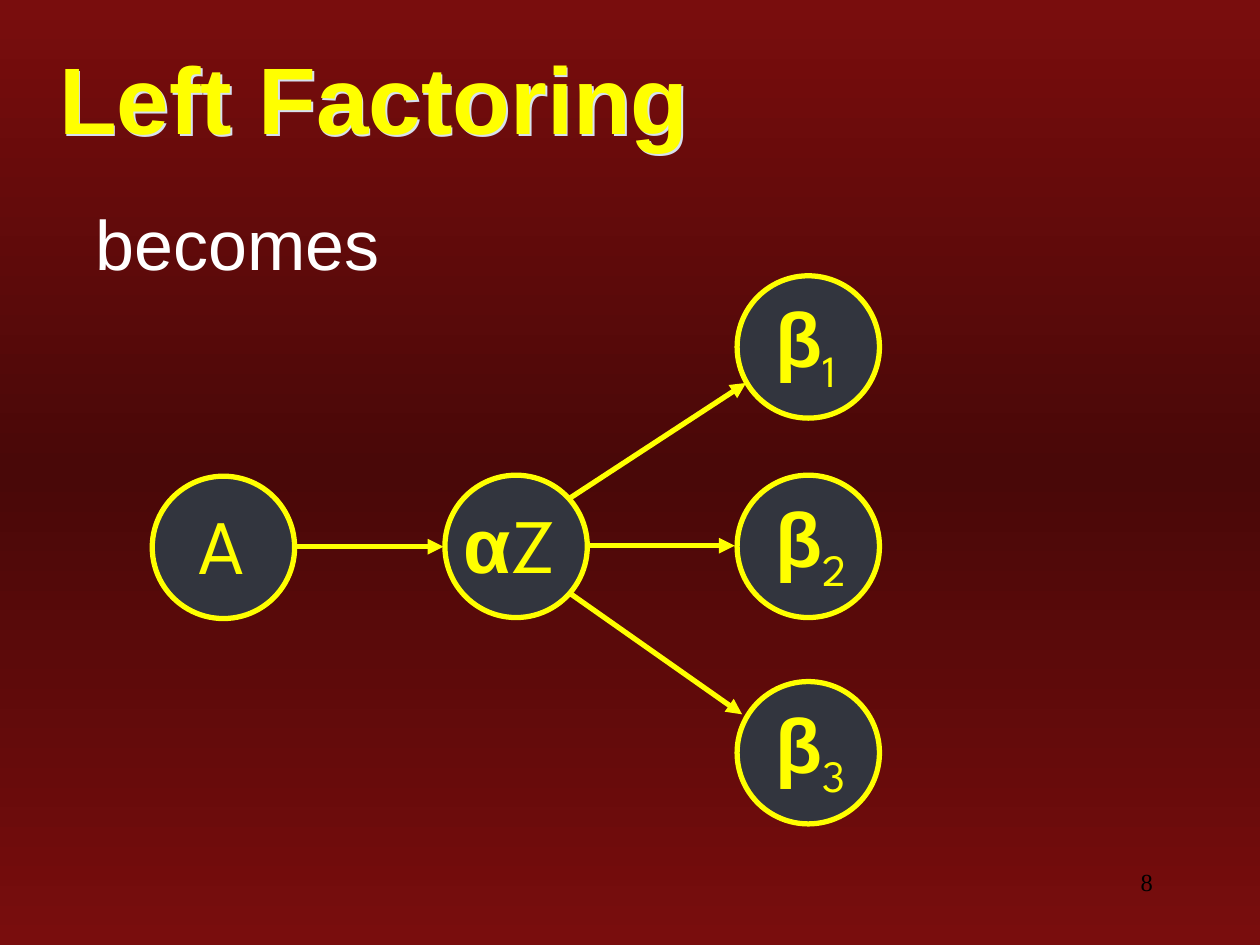
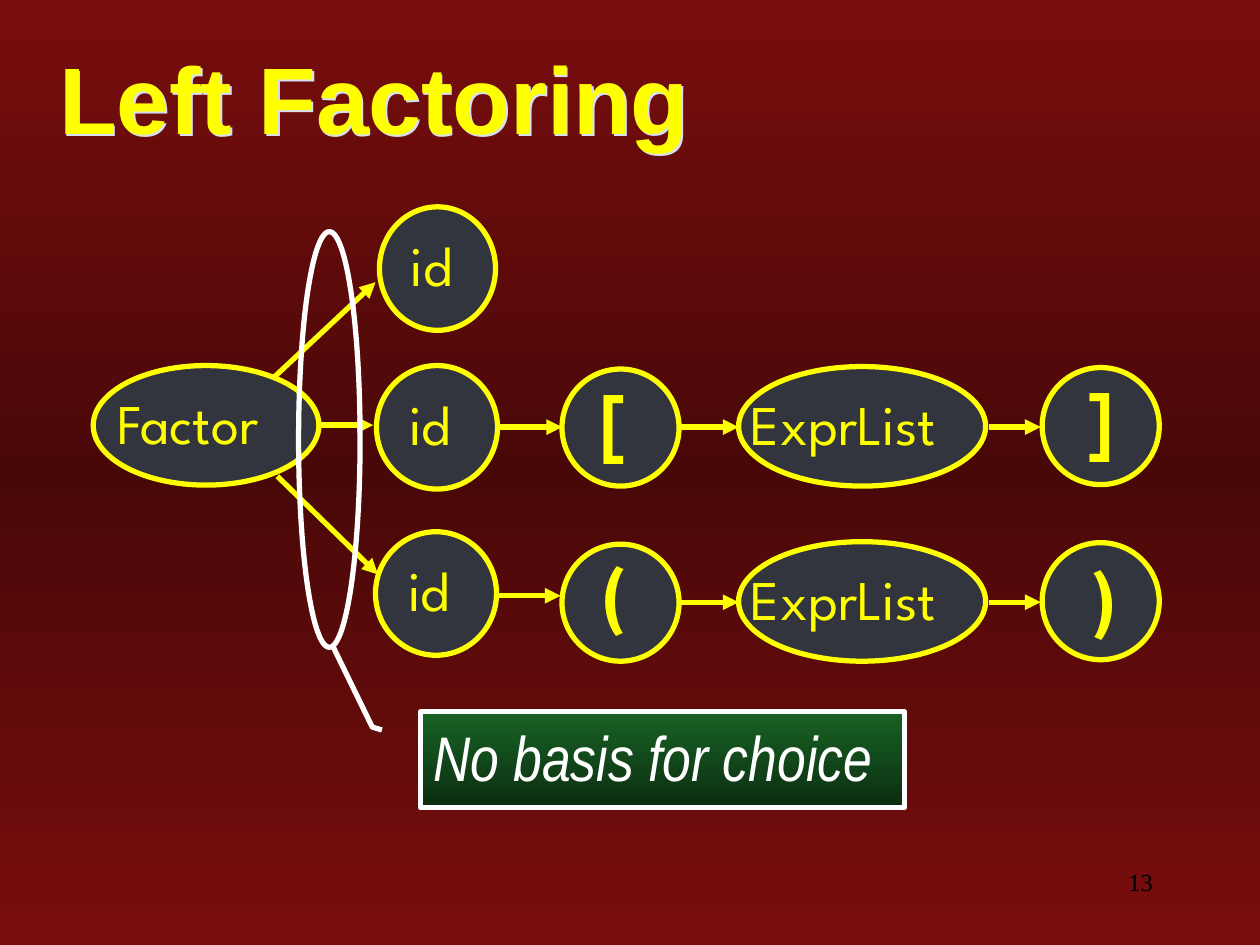
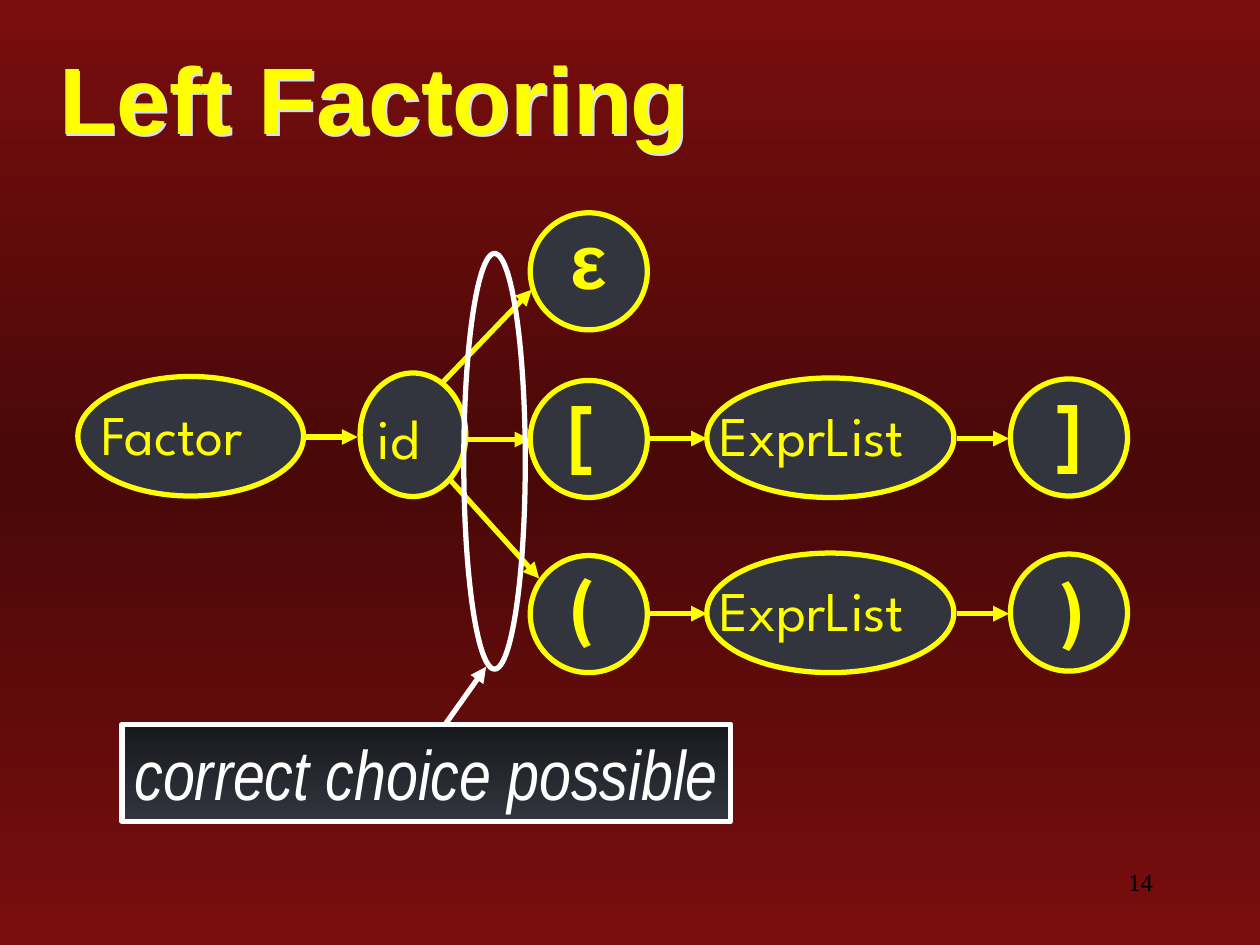
"""Builds three slides on left factoring of grammar rules."""
from dataclasses import dataclass

from lxml import etree
from pptx import Presentation, util as u
from pptx.dml.color import RGBColor
from pptx.enum import shapes, text
from pptx.oxml.ns import qn

YELLOW, WHITE, BLACK, SLATE = "FFFF00", "FFFFFF", "000000", "32353E"
BACKGROUND = ("790D0D", "490808", "790D0D")
GREEN_FADE, SLATE_FADE = ("186224", "0B2D11"), ("17191D", SLATE)
TITLE_SHADOW = "D6E0F0"
SANS, NARROW, SERIF, ROUND = "Arial", "Arial Narrow", "Times New Roman", "League Spartan"
ROW_PITCH = 3.53


@dataclass(frozen=True)
class Kind:
    """Size of an oval and the place of its label, in centimetres."""
    width: float
    height: float
    label_left: float
    label_top: float
    label_width: float
    size: int = 44


@dataclass(frozen=True)
class Span:
    """A stretch of label text in one format."""
    words: str
    font: str = ROUND
    bold: bool = False
    subscript: bool = False


@dataclass(frozen=True)
class Node:
    """A labelled oval at a place on the slide."""
    kind: Kind
    left: float
    top: float
    spans: tuple[Span, ...]


@dataclass(frozen=True)
class Arrow:
    """A straight arrow between two points."""
    x1: float
    y1: float
    x2: float
    y2: float
    color: str = YELLOW


START = Kind(2.87, 2.87, 0.69, 0.3, 2.1)
PREFIX = Kind(2.87, 2.87, 0.13, 0.3, 3.84)
BRANCH = Kind(2.87, 2.87, 0.53, 0.18, 3.84)
OPENER = Kind(2.36, 2.36, 0.53, -0.08, 1.7)
PAREN_OPENER = Kind(2.36, 2.36, 0.56, -0.13, 1.7)
CLOSER = Kind(2.36, 2.36, 0.64, -0.08, 1.7)
PAREN_CLOSER = Kind(2.36, 2.36, 0.74, -0.03, 1.7)
FACTOR = Kind(4.55, 2.41, 0.23, 0.33, 5.59, 32)
EXPR_LIST = Kind(4.98, 2.41, 0, 0.33, 5.59, 32)
ID = Kind(2.44, 2.49, 0.41, 0.36, 2.7, 32)
ID_TOP = Kind(2.34, 2.49, 0.38, 0.36, 2.7, 32)
ID_SHARED = Kind(2.13, 2.49, 0.1, 0.48, 6.5, 32)


def rgb(color: str) -> RGBColor:
    """Turn a hex string into a colour."""
    return RGBColor.from_string(color)


def cm(*lengths: float) -> list[u.Length]:
    """Turn centimetres into lengths."""
    return [u.Cm(length) for length in lengths]


def set_font(span, name: str, size: int, color: str, bold=False, italic=False) -> None:
    """Format one run."""
    font = span.font
    font.name, font.size, font.bold, font.italic = name, u.Pt(size), bold, italic
    font.color.rgb = rgb(color)


def set_gradient(fill, element, colors: tuple[str, ...]) -> None:
    """Fill from top to bottom with evenly spaced colours."""
    fill.gradient()
    fill.gradient_angle = 270
    stops = element.find(".//" + qn("a:gsLst"))
    for stop in list(stops):
        stops.remove(stop)
    for index, color in enumerate(colors):
        position = 100000 * index // (len(colors) - 1)
        stop = etree.SubElement(stops, qn("a:gs"), pos=str(position))
        etree.SubElement(stop, qn("a:srgbClr"), val=color)


def set_line(line, color: str) -> None:
    """Give a line its colour and the common width."""
    line.color.rgb = rgb(color)
    line.width = u.Pt(3)


def move(shape, left: float, top: float, width: float, height: float) -> None:
    """Place a shape, in centimetres."""
    shape.left, shape.top, shape.width, shape.height = cm(left, top, width, height)


def add_text(page, left: float, top: float, width: float, height: float):
    """Add a wrapping text box and return its first paragraph."""
    box = page.shapes.add_textbox(*cm(left, top, width, height))
    box.text_frame.word_wrap = True
    return box.text_frame.paragraphs[0]


def add_oval(page, left: float, top: float, width: float, height: float, color: str):
    """Add an outlined oval."""
    oval = page.shapes.add_shape(shapes.MSO_SHAPE.OVAL, *cm(left, top, width, height))
    oval.shadow.inherit = False
    oval.fill.background()
    set_line(oval.line, color)
    return oval


def draw_node(page, node: Node) -> None:
    """Draw an oval and its label."""
    kind = node.kind
    oval = add_oval(page, node.left, node.top, kind.width, kind.height, YELLOW)
    oval.fill.solid()
    oval.fill.fore_color.rgb = rgb(SLATE)
    height = 2.13 if kind.size == 44 else 1.63
    para = add_text(page, node.left + kind.label_left, node.top + kind.label_top,
                    kind.label_width, height)
    for part in node.spans:
        span = para.add_run()
        span.text = part.words
        set_font(span, part.font, kind.size, YELLOW, part.bold)
        if part.subscript:
            span.font._element.set("baseline", "-25000")


def draw_arrow(page, arrow: Arrow) -> None:
    """Draw an arrow with a triangular head."""
    ends = cm(arrow.x1, arrow.y1, arrow.x2, arrow.y2)
    connector = page.shapes.add_connector(shapes.MSO_CONNECTOR.STRAIGHT, *ends)
    set_line(connector.line, arrow.color)
    properties = connector.element.spPr
    etree.SubElement(properties.find(qn("a:ln")), qn("a:tailEnd"), type="triangle")
    etree.SubElement(properties, qn("a:effectLst"))


def draw_graph(page, nodes: list[Node], arrows: list[Arrow]) -> None:
    """Draw arrows and then the nodes they join."""
    for arrow in arrows:
        draw_arrow(page, arrow)
    for node in nodes:
        draw_node(page, node)


def bracket_rows(left: float, top: float) -> tuple[list[Node], list[Arrow]]:
    """Lay out the bracketed and the parenthesised expression lists."""
    nodes, arrows = [], []
    rows = [(OPENER, "[", CLOSER, "]"), (PAREN_OPENER, "(", PAREN_CLOSER, ")")]
    for index, (opener, opening, closer, closing) in enumerate(rows):
        y = top + index * ROW_PITCH
        nodes += [
            Node(opener, left, y, (Span(opening, bold=True),)),
            Node(EXPR_LIST, left + 3.56, y - 0.05, (Span("ExprList"),)),
            Node(closer, left + 9.68, y - 0.03, (Span(closing, bold=True),)),
        ]
        arrows += [Arrow(left + start, y + 1.17, left + end, y + 1.17)
                   for start, end in ((2.39, 3.56), (8.61, 9.65))]
    return nodes, arrows


def add_note(page, preset, words: str, place: tuple[float, ...], size: int,
             colors: tuple[str, ...]):
    """Add a framed remark with a gradient fill."""
    note = page.shapes.add_shape(preset, *cm(*place))
    note.shadow.inherit = False
    set_gradient(note.fill, note.element, colors)
    set_line(note.line, WHITE)
    frame = note.text_frame
    frame.word_wrap = False
    frame.vertical_anchor = text.MSO_ANCHOR.TOP
    frame.text = words
    para = frame.paragraphs[0]
    para.alignment = text.PP_ALIGN.LEFT
    set_font(para.runs[0], NARROW, size, WHITE, italic=True)
    return note


def add_page(deck, layout: int, number: int):
    """Add a slide with its title and slide number."""
    page = deck.slides.add_slide(deck.slide_layouts[layout])
    title = page.shapes.title
    move(title, 0.94, 0.89, 25.4, 2.11)
    title.fill.background()
    effects = etree.SubElement(title.element.spPr, qn("a:effectLst"))
    shadow = etree.SubElement(effects, qn("a:outerShdw"), dist="17961", dir="2700000")
    etree.SubElement(shadow, qn("a:srgbClr"), val=TITLE_SHADOW)
    frame = title.text_frame
    frame.text = "Left Factoring"
    frame.auto_size = text.MSO_AUTO_SIZE.NONE
    frame.vertical_anchor = text.MSO_ANCHOR.MIDDLE
    frame.paragraphs[0].alignment = text.PP_ALIGN.LEFT
    set_font(frame.paragraphs[0].runs[0], SANS, 54, YELLOW, bold=True)
    para = add_text(page, 18.21, 17.35, 5.28, 1.27)
    para.text = str(number)
    para.alignment = text.PP_ALIGN.RIGHT
    set_font(para.runs[0], SERIF, 14, BLACK)
    return page


def build_general_rule(deck) -> None:
    """Show the factored form of a general rule."""
    page = add_page(deck, 1, 8)
    body = page.placeholders[1]
    move(body, 1.68, 3.91, 17.22, 2.69)
    body.text_frame.text = "becomes"
    body.text_frame.auto_size = text.MSO_AUTO_SIZE.NONE
    para = body.text_frame.paragraphs[0]
    para.space_before = u.Pt(10)
    set_font(para.runs[0], SANS, 40, WHITE)
    properties = para._p.get_or_add_pPr()
    properties.set("marL", str(u.Cm(1.3)))
    properties.set("indent", str(u.Cm(-1.3)))
    etree.SubElement(properties, qn("a:buNone"))
    nodes = [
        Node(START, 3.07, 9.6, (Span("A"),)),
        Node(PREFIX, 8.97, 9.58, (Span("α", SANS, True), Span("Z"))),
    ]
    nodes += [Node(BRANCH, 14.86, top, (Span("β", SANS, True), Span(str(index), subscript=True)))
              for index, top in enumerate((5.56, 9.58, 13.74), 1)]
    draw_graph(page, nodes, [
        Arrow(5.94, 11.02, 8.94, 11.02),
        Arrow(11.46, 10.06, 15.04, 7.72),
        Arrow(11.84, 11, 14.81, 11),
        Arrow(11.46, 11.94, 14.96, 14.4),
    ])


def build_unfactored(deck) -> None:
    """Show a rule whose alternatives all start with the same token."""
    page = add_page(deck, 5, 13)
    nodes, arrows = bracket_rows(11.33, 7.44)
    nodes.append(Node(FACTOR, 1.88, 7.37, (Span("Factor"),)))
    nodes += [Node(kind, left, top, (Span("id"),)) for kind, left, top in
              ((ID_TOP, 7.65, 4.17), (ID, 7.59, 7.37), (ID, 7.57, 10.72))]
    arrows += [
        Arrow(5.54, 7.59, 7.57, 5.69),
        Arrow(6.48, 8.57, 7.52, 8.57),
        Arrow(5.59, 9.6, 7.62, 11.58),
        Arrow(10.03, 8.61, 11.33, 8.61),
        Arrow(10.03, 12.01, 11.3, 12.01),
    ]
    draw_graph(page, nodes, arrows)
    add_oval(page, 6.02, 4.67, 1.24, 8.38, WHITE)
    callout = add_note(page, shapes.MSO_SHAPE.LINE_CALLOUT_2, "No basis for choice",
                       (8.48, 14.35, 9.75, 1.93), 36, GREEN_FADE)
    for index, value in enumerate((0.19, -0.08, 0.16, -0.1, -0.67, -0.18)):
        callout.adjustments[index] = value


def build_factored(deck) -> None:
    """Show the rule with its common token factored out."""
    page = add_page(deck, 5, 14)
    nodes, arrows = bracket_rows(10.69, 7.67)
    nodes += [
        Node(PAREN_OPENER, 10.69, 4.29, (Span("ε", SANS, True),)),
        Node(FACTOR, 1.57, 7.59, (Span("Factor"),)),
        Node(ID_SHARED, 7.26, 7.52, (Span("id"),)),
    ]
    arrows += [
        Arrow(6.15, 8.81, 7.21, 8.81),
        Arrow(8.74, 7.9, 10.72, 5.84),
        Arrow(9.4, 8.86, 10.69, 8.86),
        Arrow(8.89, 9.47, 10.87, 11.66),
    ]
    draw_graph(page, nodes, arrows)
    add_oval(page, 9.35, 5.11, 1.24, 8.38, WHITE)
    add_note(page, shapes.MSO_SHAPE.RECTANGLE, "correct choice possible",
             (2.46, 14.6, 12.27, 1.96), 40, SLATE_FADE)
    draw_arrow(page, Arrow(8.99, 14.58, 9.8, 13.44, WHITE))


def main() -> None:
    """Build and save the deck."""
    deck = Presentation()
    deck.slide_width, deck.slide_height = cm(25.4, 19.05)
    master = deck.slide_master
    set_gradient(master.background.fill, master.element, BACKGROUND)
    build_general_rule(deck)
    build_unfactored(deck)
    build_factored(deck)
    deck.save("out.pptx")


if __name__ == "__main__":
    main()
